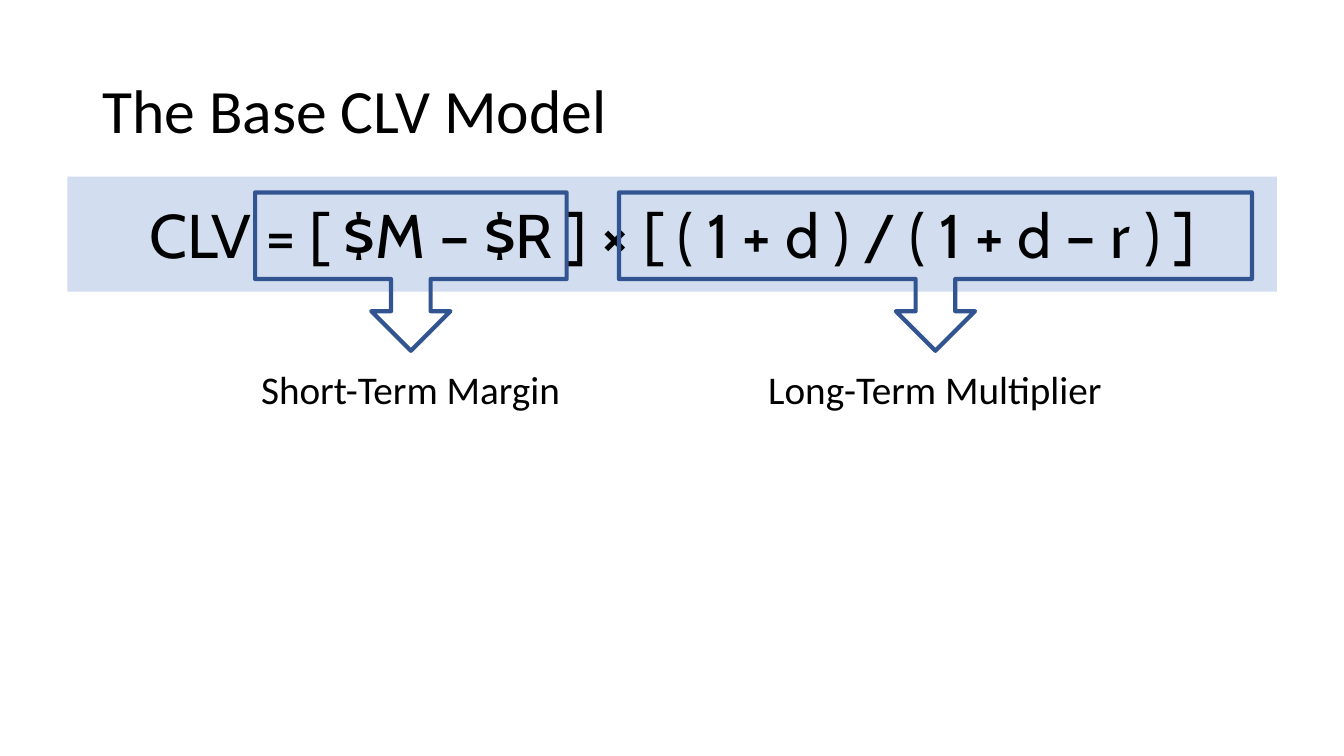
from dataclasses import dataclass

from pptx import Presentation
from pptx.dml.color import RGBColor
from pptx.enum.shapes import MSO_SHAPE
from pptx.enum.text import MSO_ANCHOR, MSO_AUTO_SIZE, PP_ALIGN
from pptx.slide import Slide
from pptx.text.text import Font
from pptx.util import Cm, Pt


@dataclass(frozen=True)
class Theme:
    text: RGBColor = RGBColor(0x00, 0x00, 0x00)
    band: RGBColor = RGBColor(0xD2, 0xDE, 0xEF)
    outline: RGBColor = RGBColor(0x32, 0x54, 0x91)
    outline_width: float = 3
    body_font: str = "Calibri"
    formula_font: str = "Cabin"
    large: float = 44
    label: float = 28


@dataclass(frozen=True)
class Box:
    left: float
    top: float
    width: float
    height: float

    def emu(self) -> tuple[Cm, Cm, Cm, Cm]:
        return Cm(self.left), Cm(self.top), Cm(self.width), Cm(self.height)


@dataclass(frozen=True)
class Term:
    label: str
    label_box: Box
    callout_box: Box
    wrap: bool


THEME = Theme()
TITLE_BOX = Box(2.33, 1.01, 29.21, 3.68)
FORMULA_BOX = Box(1.7, 4.45, 30.48, 2.9)
FORMULA = (
    ("CLV = [ $M – $R ] ", False),
    ("× ", True),
    ("[ ( 1 + d ) / ( 1 + d – r ) ]", False),
)
CALLOUT_SHAPE = (0.25, 0.25, 0.25, 0.547)
TERMS = (
    Term("Short-Term Margin", Box(5.38, 9.07, 9.93, 1.45), Box(6.43, 4.85, 7.85, 3.99), True),
    Term("Long-Term Multiplier", Box(19.05, 9.07, 9.02, 1.45), Box(15.6, 4.85, 15.95, 3.99), False),
)


def style(font: Font, name: str, size: float, bold: bool = False) -> None:
    font.name = name
    font.size = Pt(size)
    font.bold = bold
    font.color.rgb = THEME.text


def add_title(s: Slide, text: str) -> None:
    sp = s.shapes.title
    sp.left, sp.top, sp.width, sp.height = TITLE_BOX.emu()
    tf = sp.text_frame
    tf.text = text
    tf.auto_size = MSO_AUTO_SIZE.NONE
    tf.vertical_anchor = MSO_ANCHOR.MIDDLE
    p = tf.paragraphs[0]
    p.alignment = PP_ALIGN.LEFT
    p.line_spacing = 0.9
    style(p.runs[0].font, THEME.body_font, THEME.large)


def add_formula(s: Slide) -> None:
    sp = s.shapes.add_shape(MSO_SHAPE.RECTANGLE, *FORMULA_BOX.emu())
    sp.shadow.inherit = False
    sp.fill.solid()
    sp.fill.fore_color.rgb = THEME.band
    sp.line.fill.background()
    tf = sp.text_frame
    tf.word_wrap = True
    tf.vertical_anchor = MSO_ANCHOR.TOP
    tf.margin_left = tf.margin_right = tf.margin_top = tf.margin_bottom = Cm(0.51)
    p = tf.paragraphs[0]
    p.alignment = PP_ALIGN.CENTER
    for text, bold in FORMULA:
        r = p.add_run()
        r.text = text
        style(r.font, THEME.formula_font, THEME.large, bold)


def add_label(s: Slide, term: Term) -> None:
    tf = s.shapes.add_textbox(*term.label_box.emu()).text_frame
    tf.text = term.label
    tf.word_wrap = term.wrap
    tf.auto_size = MSO_AUTO_SIZE.SHAPE_TO_FIT_TEXT
    p = tf.paragraphs[0]
    p.alignment = PP_ALIGN.CENTER
    style(p.runs[0].font, THEME.body_font, THEME.label)


def add_callout(s: Slide, term: Term) -> None:
    sp = s.shapes.add_shape(MSO_SHAPE.DOWN_ARROW_CALLOUT, *term.callout_box.emu())
    sp.shadow.inherit = False
    sp.fill.background()
    sp.line.color.rgb = THEME.outline
    sp.line.width = Pt(THEME.outline_width)
    for i, value in enumerate(CALLOUT_SHAPE):
        sp.adjustments[i] = value


def main() -> None:
    """Build the slide that explains the base CLV formula."""
    prs = Presentation()
    prs.slide_width, prs.slide_height = Cm(33.87), Cm(19.05)
    s = prs.slides.add_slide(prs.slide_layouts[5])
    add_title(s, "The Base CLV Model")
    add_formula(s)
    for term in TERMS:
        add_label(s, term)
    for term in TERMS:
        add_callout(s, term)
    prs.save("out.pptx")


if __name__ == "__main__":
    main()
